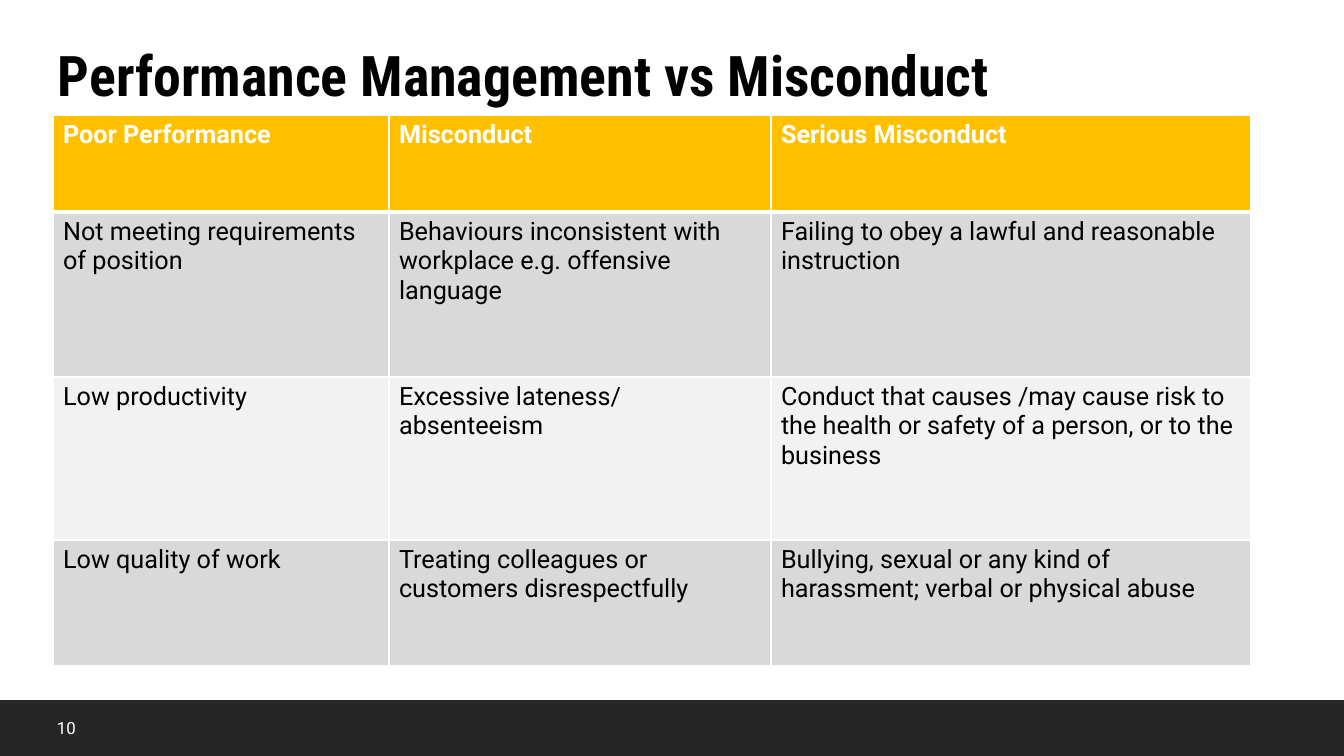
from pptx import Presentation
from pptx.dml.color import RGBColor
from pptx.enum.shapes import MSO_SHAPE
from pptx.enum.text import MSO_ANCHOR
from pptx.oxml import parse_xml
from pptx.oxml.ns import nsdecls
from pptx.util import Pt

SCALE = 914400 / 100.8
COLORS = {"white": "FFFFFF", "black": "000000", "header": "FFC000",
          "odd": "D9D9D9", "even": "F2F2F2", "footer": "262626"}
COLUMNS = [336, 382, 480]
ROW_HEIGHTS = [97, 165, 163, 126]
ROWS = [
    ["Poor Performance", "Misconduct", "Serious Misconduct"],
    ["Not meeting requirements of position",
     "Behaviours inconsistent with workplace e.g. offensive language",
     "Failing to obey a lawful and reasonable instruction"],
    ["Low productivity", "Excessive lateness/ absenteeism",
     "Conduct that causes /may cause risk to the health or safety of a person, "
     "or to the business"],
    ["Low quality of work", "Treating colleagues or customers disrespectfully",
     "Bullying, sexual or any kind of harassment; verbal or physical abuse"],
]


def px(n):
    """Turn pixels into EMU."""
    return round(n * SCALE)


def rgb(name):
    """Look up a named colour."""
    return RGBColor.from_string(COLORS[name])


def write(tf, text, size, color, bold=False, font="Roboto"):
    """Set and format the text of a frame."""
    tf.text = text
    tf.word_wrap = True
    f = tf.paragraphs[0].runs[0].font
    f.name, f.size, f.bold = font, Pt(size), bold
    f.color.rgb = rgb(color)


def add_title(slide, x, y, w, h):
    """Place the slide title."""
    tf = slide.shapes.add_textbox(px(x), px(y), px(w), px(h)).text_frame
    tf.margin_top = px(9)
    write(tf, "Performance Management vs Misconduct", 40, "black", True,
          "Roboto Condensed")
    tf.paragraphs[0].line_spacing = 0.9


def add_footer(slide, x, y, w, h):
    """Place the footer bar with the slide number."""
    bar = slide.shapes.add_shape(MSO_SHAPE.RECTANGLE, px(x), px(y), px(w), px(h))
    bar.shadow.inherit = False
    bar.fill.solid()
    bar.fill.fore_color.rgb = rgb("footer")
    bar.line.fill.background()
    number = slide.shapes.add_textbox(px(x + 47), px(y + 13), px(57), px(30))
    tf = number.text_frame
    tf.vertical_anchor = MSO_ANCHOR.MIDDLE
    write(tf, "10", 12, "white")


def add_border(cell, side, width):
    """Draw one white edge of a cell."""
    cell._tc.get_or_add_tcPr().append(parse_xml(
        f'<a:{side} {nsdecls("a")} w="{Pt(width)}"><a:solidFill>'
        f'<a:srgbClr val="{COLORS["white"]}"/></a:solidFill></a:{side}>'))


def add_comparison(slide, x, y, w, h):
    """Place the comparison table."""
    table = slide.shapes.add_table(len(ROWS), len(COLUMNS), px(x), px(y),
                                   px(w), px(h)).table
    for column, width in zip(table.columns, COLUMNS):
        column.width = px(width)
    for i, texts in enumerate(ROWS):
        table.rows[i].height = px(ROW_HEIGHTS[i])
        fill = "header" if i == 0 else "odd" if i % 2 else "even"
        for j, text in enumerate(texts):
            cell = table.cell(i, j)
            write(cell.text_frame, text, 18, "black" if i else "white", i == 0)
            for side in ("lnL", "lnR", "lnT", "lnB"):
                thick = (i, side) in ((0, "lnB"), (1, "lnT"))
                add_border(cell, side, 3 if thick else 1)
            cell.fill.solid()
            cell.fill.fore_color.rgb = rgb(fill)


def main():
    """Build and save the slide."""
    prs = Presentation()
    prs.slide_width, prs.slide_height = px(1344), px(756)
    slide = prs.slides.add_slide(prs.slide_layouts[6])
    add_footer(slide, 0, 700, 1344, 56)
    add_title(slide, 48, 39, 1268, 56)
    add_comparison(slide, 53, 115, sum(COLUMNS), sum(ROW_HEIGHTS))
    prs.save("out.pptx")


if __name__ == "__main__":
    main()
